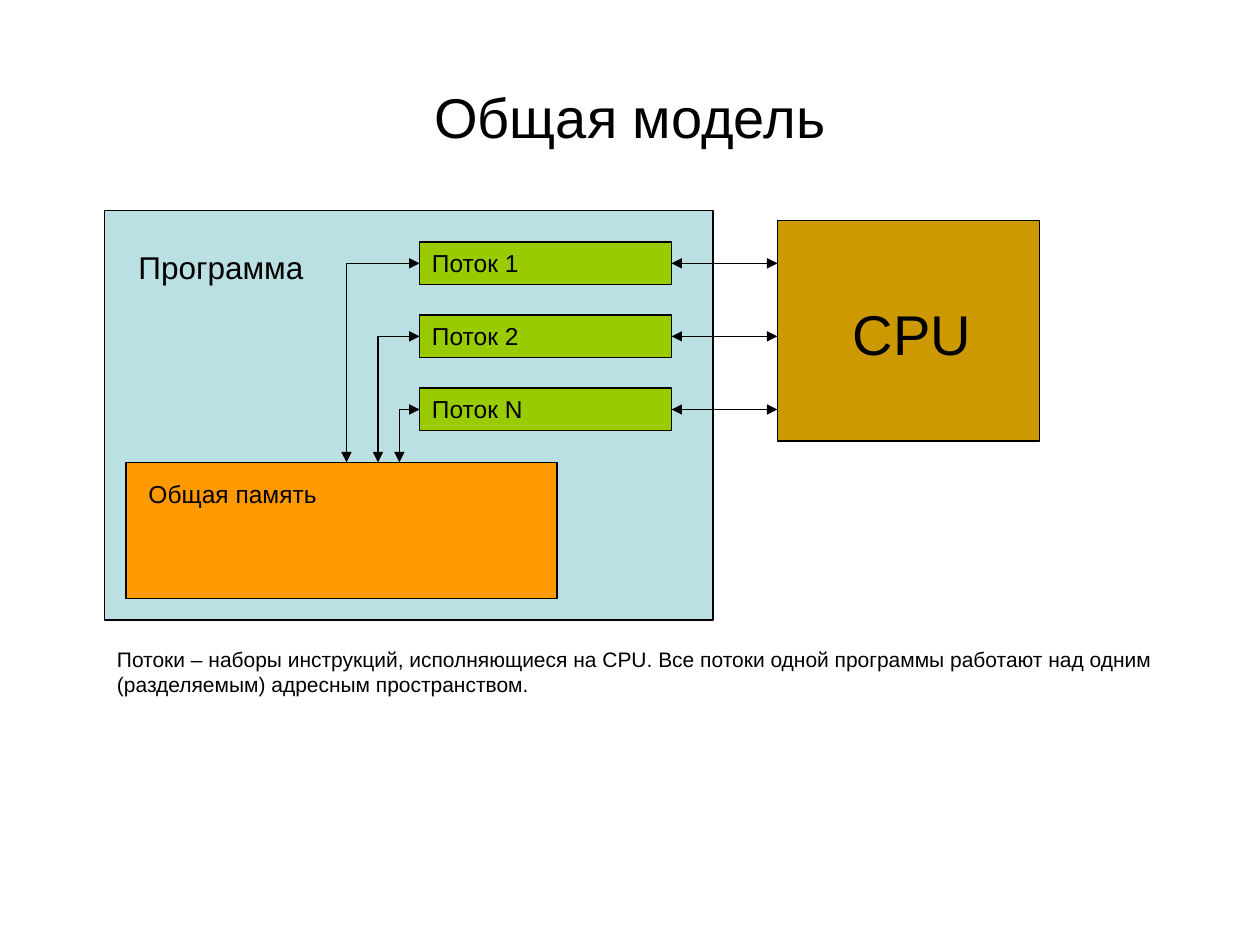
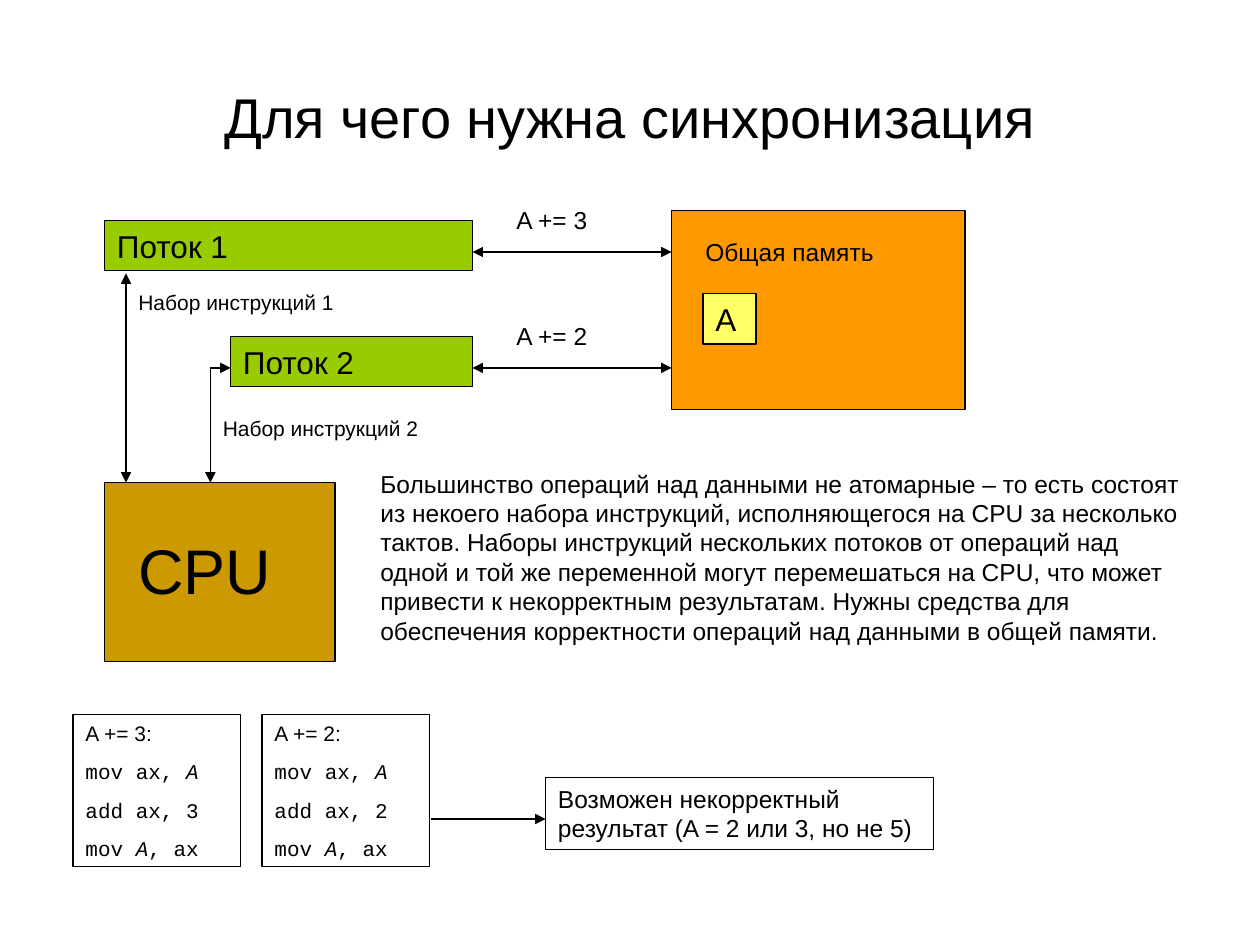
from lxml.etree import SubElement as Sub
from pptx import Presentation as Deck
from pptx.dml.color import RGBColor as RGB
from pptx.enum.shapes import MSO_CONNECTOR as LINK, MSO_SHAPE as FORM
from pptx.enum.text import MSO_ANCHOR as ANCHOR, MSO_AUTO_SIZE as FIT, PP_ALIGN as ALIGN
from pptx.oxml.ns import qn
from pptx.util import Inches, Pt

BLACK = RGB(0, 0, 0)
AQUA = RGB(0xBB, 0xE0, 0xE3)
GOLD = RGB(0xCC, 0x99, 0x00)
ORANGE = RGB(0xFF, 0x99, 0x00)
GREEN = RGB(0x99, 0xCC, 0x00)
YELLOW = RGB(0xFF, 0xFF, 0x66)
SANS, MONO = "Arial", "Courier New"
THIN = Pt(0.75)
FRAME = dict(word_wrap=True, vertical_anchor=ANCHOR.TOP, auto_size=FIT.NONE,
             margin_left=Inches(0.1), margin_right=Inches(0.1),
             margin_top=Inches(0.05), margin_bottom=Inches(0.05))


def put(item, **vals):
    """Set each named value on the item."""
    for name, val in vals.items():
        setattr(item, name, val)


def style(font, size, face=SANS, slant=False):
    """Format a font in black."""
    put(font, size=Pt(size), name=face, italic=slant, bold=False)
    font.color.rgb = BLACK


def write(shape, words, size, align=ALIGN.LEFT, **more):
    """Fill a shape with one paragraph of text."""
    frame = shape.text_frame
    put(frame, **{**FRAME, **more})
    para = frame.paragraphs[0]
    para.text = words
    para.alignment = align
    style(para.runs[0].font, size)


def start(deck, words):
    """Add a slide with its title."""
    slide = deck.slides.add_slide(deck.slide_layouts[5])
    title = slide.shapes.title
    put(title, left=Inches(0.5), top=Inches(0.3),
        width=Inches(9), height=Inches(1.25))
    write(title, words, 32, ALIGN.CENTER, vertical_anchor=ANCHOR.MIDDLE)
    return slide.shapes


def box(shapes, area, fill=None, words="", size=14):
    """Add an outlined rectangle, with text if given."""
    rect = shapes.add_shape(FORM.RECTANGLE, *map(Inches, area))
    rect.shadow.inherit = False
    if fill is None:
        rect.fill.background()
    else:
        rect.fill.solid()
        rect.fill.fore_color.rgb = fill
    rect.line.color.rgb = BLACK
    rect.line.width = THIN
    if words:
        write(rect, words, size)
    return rect


def label(shapes, area, words, size=14):
    """Add a plain text box."""
    write(shapes.add_textbox(*map(Inches, area)), words, size)


def arrow(shapes, x1, y1, x2, y2, both=False):
    """Add a line with an arrowhead at its end, or at both ends."""
    link = shapes.add_connector(LINK.STRAIGHT, *map(Inches, (x1, y1, x2, y2)))
    link.line.color.rgb = BLACK
    link.line.width = THIN
    props = link._element.spPr
    edge = props.find(qn("a:ln"))
    for end in ("a:headEnd", "a:tailEnd") if both else ("a:tailEnd",):
        Sub(edge, qn(end), type="triangle")
    Sub(props, qn("a:effectLst"))


def elbow(shapes, x, y, right, low):
    """Add two arrows from a corner: one to the right, one down."""
    arrow(shapes, x, y, right, y)
    arrow(shapes, x, y, x, low)


def code(shapes, left, num):
    """Add a box with the instructions that add a number to A."""
    rect = box(shapes, (left, 5.67, 1.33, 1.21), None, f"A += {num}:", 12)
    for line in ("mov ax, A", f"add ax, {num}", "mov A, ax"):
        para = rect.text_frame.add_paragraph()
        put(para, alignment=ALIGN.LEFT, space_before=Pt(7.5))
        for part in filter(None, line.partition("A")):
            run = para.add_run()
            run.text = part
            style(run.font, 12, MONO, part == "A")


def model(deck):
    """Build the slide on the general model."""
    shapes = start(deck, "Общая модель")
    box(shapes, (0.83, 1.67, 4.83, 3.25), AQUA)
    label(shapes, (1, 1.92, 1.58, 0.4), "Программа", 18)
    box(shapes, (6.17, 1.75, 2.08, 1.75), GOLD)
    label(shapes, (6.67, 2.33, 1.17, 0.64), "CPU", 32)
    box(shapes, (1, 3.67, 3.42, 1.08), ORANGE)
    label(shapes, (1.08, 3.75, 1.92, 0.34), "Общая память")
    for row, (name, x) in enumerate(zip("12N", (2.75, 3, 3.17))):
        top = 1.92 + 0.58 * row
        mid = top + 0.17
        box(shapes, (3.33, top, 2, 0.34), GREEN, f"Поток {name}")
        arrow(shapes, 5.33, mid, 6.17, mid, True)
        elbow(shapes, x, mid, 3.33, 3.67)
    label(shapes, (0.83, 5.08, 8.42, 0.5),
          "Потоки – наборы инструкций, исполняющиеся на CPU. Все потоки одной "
          "программы работают над одним (разделяемым) адресным пространством.", 12)


def sync(deck):
    """Build the slide on the need for synchronization."""
    shapes = start(deck, "Для чего нужна синхронизация")
    box(shapes, (5.33, 1.67, 2.33, 1.58), ORANGE)
    label(shapes, (5.5, 1.83, 1.83, 0.34), "Общая память")
    box(shapes, (5.58, 2.33, 0.42, 0.4), YELLOW, "A", 18)
    box(shapes, (0.83, 3.83, 1.83, 1.42), GOLD)
    label(shapes, (1, 4.17, 1.5, 0.7), "CPU", 36)
    rows = ((1, 3, 0.83, 1.75, 1, 2.25, 0.58),
            (2, 2, 1.83, 2.67, 1.67, 3.25, 2.08))
    for num, step, left, top, x, low, side in rows:
        box(shapes, (left, top, 3.75 - left, 0.4), GREEN, f"Поток {num}", 18)
        label(shapes, (4, top - 0.17, 1, 0.34), f"A += {step}")
        arrow(shapes, 3.75, top + 0.25, 5.33, top + 0.25, True)
        label(shapes, (x, low, 2.17, 0.3), f"Набор инструкций {num}", 12)
        code(shapes, side, step)
    arrow(shapes, 1, 2.17, 1, 3.83, True)
    elbow(shapes, 1.67, 2.92, 1.83, 3.83)
    label(shapes, (2.92, 3.67, 6.58, 1.5),
          "Большинство операций над данными не атомарные – то есть состоят из "
          "некоего набора инструкций, исполняющегося на CPU за несколько тактов. "
          "Наборы инструкций нескольких потоков от операций над одной и той же "
          "переменной могут перемешаться на CPU, что может привести к "
          "некорректным результатам. Нужны средства для обеспечения "
          "корректности операций над данными в общей памяти.")
    arrow(shapes, 3.42, 6.5, 4.33, 6.5)
    box(shapes, (4.33, 6.17, 3.08, 0.57), None,
        "Возможен некорректный результат (A = 2 или 3, но не 5)")


def main():
    """Build and save the deck."""
    deck = Deck()
    put(deck, slide_width=Inches(10), slide_height=Inches(7.5))
    model(deck)
    sync(deck)
    deck.save("out.pptx")


if __name__ == "__main__":
    main()
